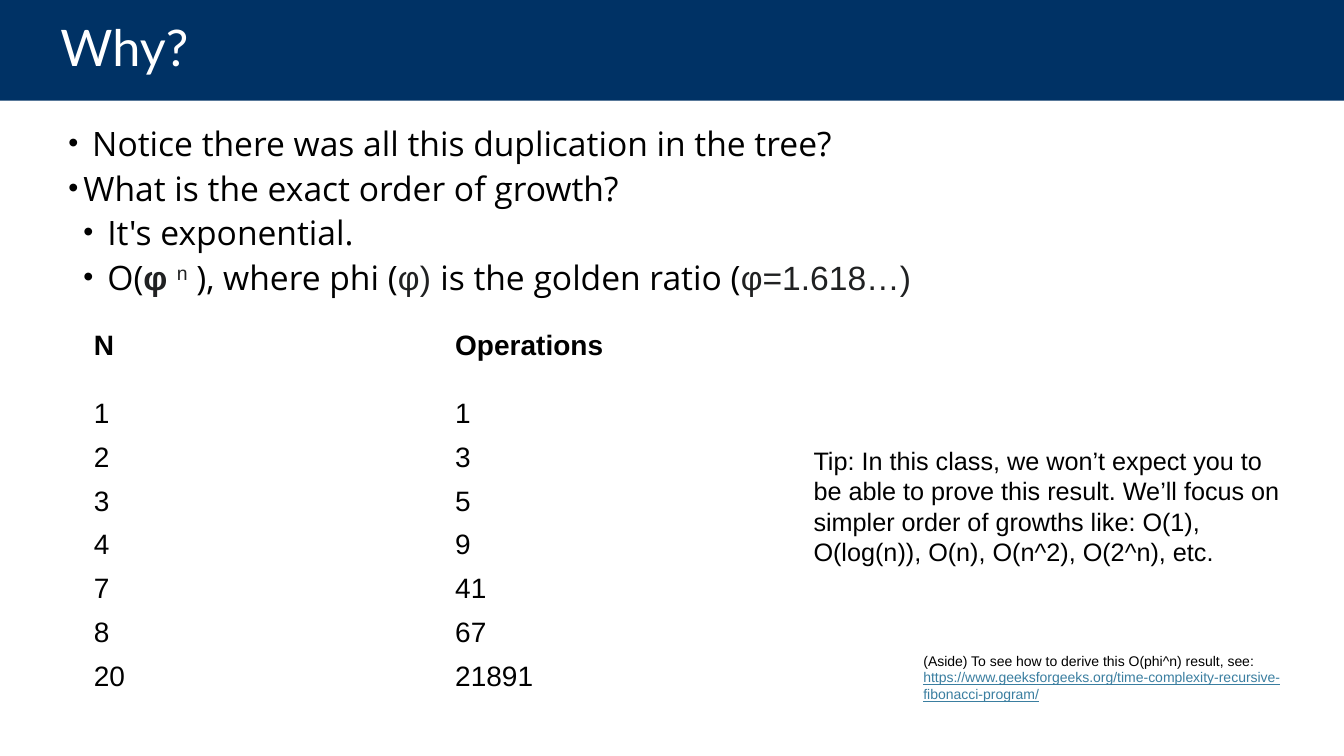
"""Build a slide on the order of growth of the recursive Fibonacci tree."""
import pptx
import pptx.dml.color
import pptx.enum.shapes
import pptx.enum.text
import pptx.oxml
import pptx.oxml.ns
import pptx.util

Inches = pptx.util.Inches
Pt = pptx.util.Pt


def color(value):
    return pptx.dml.color.RGBColor.from_string(value)


def add_span(para, text, size, face="Arial", ink="000000", bold=False):
    span = para.add_run()
    span.text = text
    span.font.size = Pt(size)
    span.font.name = face
    span.font.color.rgb = color(ink)
    span.font.bold = bold
    return span


deck = pptx.Presentation()
deck.slide_width = Inches(13.33)
deck.slide_height = Inches(7.5)
page = deck.slides.add_slide(deck.slide_layouts[6])

banner = page.shapes.add_shape(
    pptx.enum.shapes.MSO_SHAPE.RECTANGLE, 0, 0, Inches(13.33), Inches(1))
banner.shadow.inherit = False
banner.fill.solid()
banner.fill.fore_color.rgb = color("003265")
banner.line.fill.background()
banner.text_frame.margin_left = Inches(0.6)
banner.text_frame.margin_right = Inches(1)
banner.text_frame.vertical_anchor = pptx.enum.text.MSO_ANCHOR.MIDDLE
title = banner.text_frame.paragraphs[0]
title.alignment = pptx.enum.text.PP_ALIGN.LEFT
title.line_spacing = 0.9
add_span(title, "Why?", 36, "Lato", "FFFFFF")

plain = ("Open Sans", "000000", False)
math = ("Arial", "202122", False)
strong = ("Arial", "202122", True)
bullets = [
    (0, [(" Notice there was all this duplication in the tree?", plain)]),
    (0, [("What is the exact order of growth?", plain)]),
    (1, [(" It's exponential.", plain)]),
    (1, [(" O(", plain), ("φ ", strong), ("n", math), (" ), where phi (", plain),
         ("φ) ", math), ("is the golden ratio (", plain), ("φ=1.618…)", math)]),
]
body = page.shapes.add_textbox(Inches(0.58), Inches(1.17), Inches(12.27), Inches(5.75))
body.text_frame.word_wrap = True
for index, (level, spans) in enumerate(bullets):
    para = body.text_frame.paragraphs[0] if index == 0 else body.text_frame.add_paragraph()
    para.level = level
    if index:
        para.space_before = Pt(3)
    properties = para._p.get_or_add_pPr()
    properties.set("marL", str(Inches(0.15 * (level + 1))))
    properties.set("indent", str(Inches(-0.15)))
    for tag, name, value in (("a:buSzPct", "val", "85000"),
                             ("a:buFont", "typeface", "Arial"),
                             ("a:buChar", "char", "•")):
        element = pptx.oxml.parse_xml(f"<{tag} {pptx.oxml.ns.nsdecls('a')}/>")
        element.set(name, value)
        properties.append(element)
    for text, style in spans:
        span = add_span(para, text, 24, *style)
        if text == "n":
            span._r.get_or_add_rPr().set("baseline", "30000")

rows = [("N", "Operations"), ("1", "1"), ("2", "3"), ("3", "5"),
        ("4", "9"), ("7", "41"), ("8", "67"), ("20", "21891")]
table = page.shapes.add_table(
    len(rows), 2, Inches(0.83), Inches(2.97), Inches(7.17), Inches(3.44)).table
table.first_row = False
table.horz_banding = False
for row_index, values in enumerate(rows):
    table.rows[row_index].height = Inches(0.36 if row_index else 0.92)
    for column_index, value in enumerate(values):
        cell = table.cell(row_index, column_index)
        cell.fill.background()
        cell.vertical_anchor = pptx.enum.text.MSO_ANCHOR.MIDDLE
        add_span(cell.text_frame.paragraphs[0], value, 20, bold=row_index == 0)

notes = [
    ((9.06, 6.42, 4.27, 0.77), 10, [
        ("(Aside) To see how to derive this O(phi^n) result, see: ", "000000"),
        ("https://www.geeksforgeeks.org/time-complexity-recursive-fibonacci-program/",
         "3A7EA0")]),
    ((7.97, 4.37, 4.88, 1.31), 18, [
        ("Tip: In this class, we won’t expect you to be able to prove this result. "
         "We’ll focus on simpler order of growths like: O(1), O(log(n)), O(n), "
         "O(n^2), O(2^n), etc.", "000000")]),
]
for place, size, spans in notes:
    box = page.shapes.add_textbox(*map(Inches, place))
    box.text_frame.word_wrap = True
    box.text_frame.auto_size = pptx.enum.text.MSO_AUTO_SIZE.SHAPE_TO_FIT_TEXT
    for text, ink in spans:
        span = add_span(box.text_frame.paragraphs[0], text, size, ink=ink)
        if text.startswith("https"):
            span.font.underline = True

deck.save("out.pptx")
